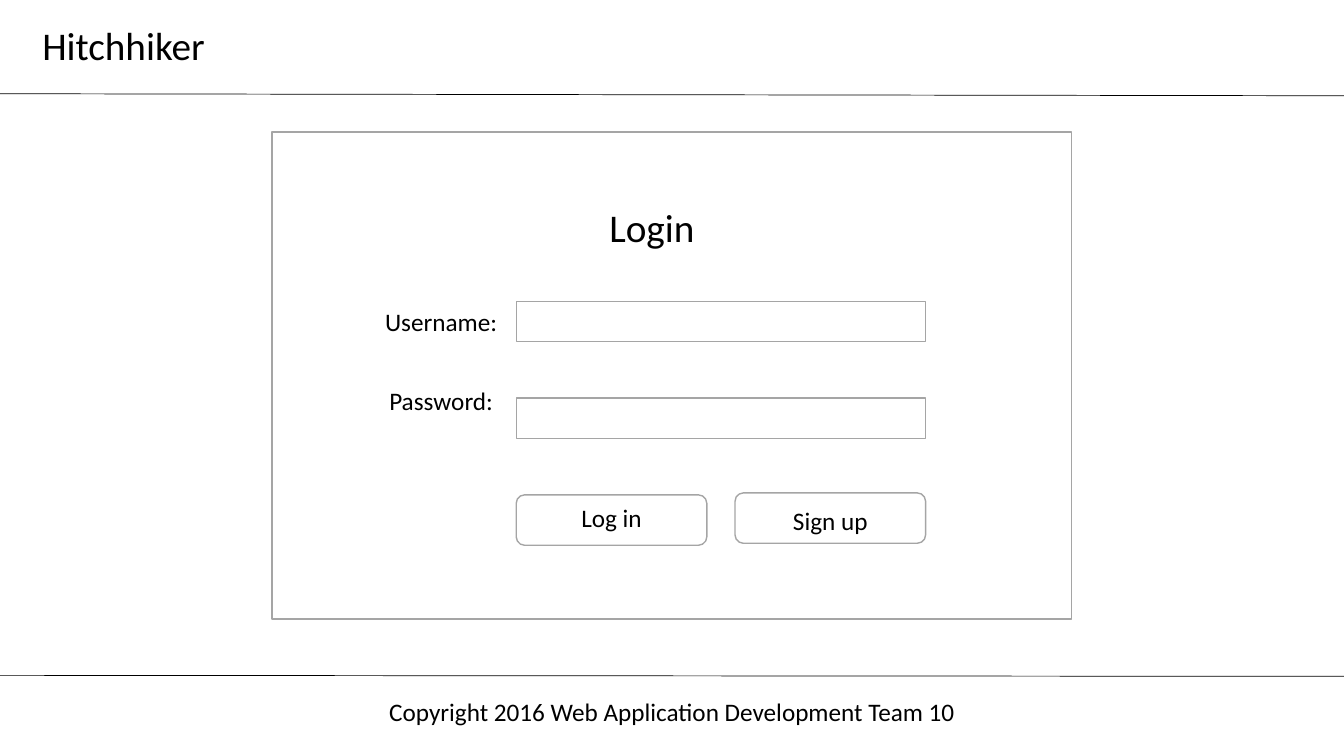
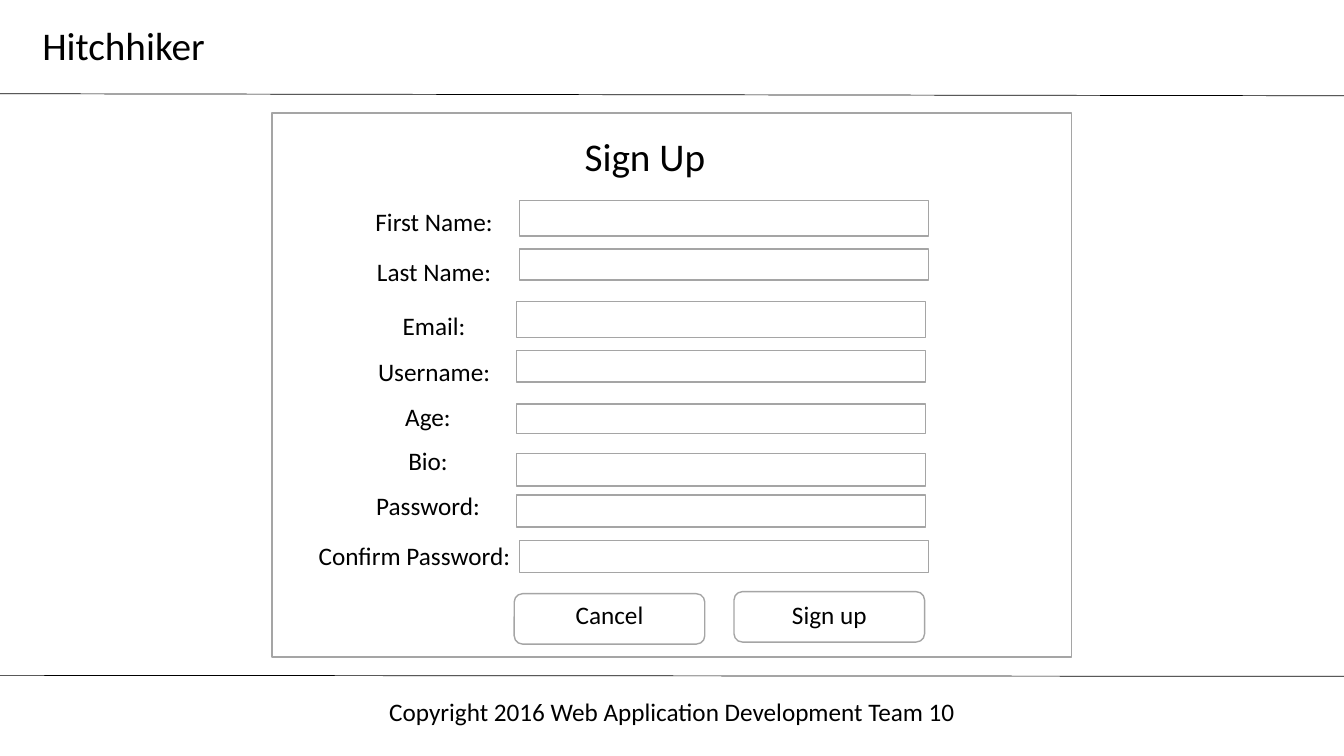
"""Build the login and sign-up wireframe slides."""
from dataclasses import dataclass

from lxml.etree import SubElement
from pptx import Presentation
from pptx.dml.color import RGBColor as Color
from pptx.enum.shapes import MSO_CONNECTOR as Connector, MSO_SHAPE as Preset
from pptx.enum.text import MSO_ANCHOR as Anchor, MSO_AUTO_SIZE as AutoSize, PP_ALIGN as Align
from pptx.oxml.ns import qn
from pptx.util import Inches, Pt


@dataclass(frozen=True)
class Theme:
    font: str = "Calibri"
    ink: Color = Color(0, 0, 0)
    paper: Color = Color(255, 255, 255)
    outline: Color = Color(0xA5, 0xA5, 0xA5)
    title_size: int = 28
    body_size: int = 18
    rule_width: float = 0.5
    outline_width: float = 1


@dataclass(frozen=True)
class Field:
    label: str
    label_left: float
    label_top: float
    box_left: float
    box_top: float
    box_height: float
    label_width: float = 2.09


@dataclass(frozen=True)
class Button:
    label: str
    left: float
    top: float
    text_top: float


THEME = Theme()
WIDTH, HEIGHT = 13.33, 7.5
TITLE_WIDTH, TITLE_HEIGHT, LABEL_HEIGHT = 2.09, 0.57, 0.4
PANEL_LEFT, PANEL_WIDTH = 2.7, 7.93
BOX_WIDTH = 4.06
BUTTON_WIDTH, BUTTON_HEIGHT = 1.89, 0.5
BRAND = "Hitchhiker"
COPYRIGHT = "Copyright 2016 Web Application Development Team 10"
RULES = [(0.93, 0.95), (6.7, 6.71)]

SCREENS = [
    {
        "title": ("Login", 5.42, 1.97),
        "panel": (1.31, 4.83),
        "fields": [
            Field("Username:", 3.33, 2.99, 5.12, 2.99, 0.4),
            Field("Password:", 3.33, 3.77, 5.12, 3.95, 0.4),
        ],
        "buttons": [
            Button("Log in", 5.12, 4.91, 4.96),
            Button("Sign up", 7.29, 4.89, 4.99),
        ],
    },
    {
        "title": ("Sign Up", 5.35, 1.26),
        "panel": (1.12, 5.4),
        "fields": [
            Field("First Name:", 3.26, 2.0, 5.15, 1.99, 0.35),
            Field("Last Name:", 3.26, 2.49, 5.15, 2.47, 0.31),
            Field("Email:", 3.26, 3.03, 5.12, 2.99, 0.36),
            Field("Username:", 3.26, 3.49, 5.12, 3.48, 0.31),
            Field("Age:", 3.2, 3.93, 5.12, 4.01, 0.29),
            Field("Bio:", 3.2, 4.37, 5.12, 4.5, 0.32),
            Field("Password:", 3.2, 4.82, 5.12, 4.91, 0.32),
            Field("Confirm Password:", 2.92, 5.31, 5.15, 5.36, 0.32, 2.38),
        ],
        "buttons": [
            Button("Cancel", 5.1, 5.89, 5.92),
            Button("Sign up", 7.28, 5.87, 5.92),
        ],
    },
]


def write(shape, text, size):
    paragraph = shape.text_frame.paragraphs[0]
    paragraph.text = text
    paragraph.alignment = Align.CENTER
    paragraph.font.name = THEME.font
    paragraph.font.size = Pt(size)
    paragraph.font.color.rgb = THEME.ink


def add_text(slide, text, left, top, width, height, size=THEME.body_size):
    box = slide.shapes.add_textbox(*map(Inches, (left, top, width, height)))
    box.text_frame.word_wrap = True
    box.text_frame.auto_size = AutoSize.SHAPE_TO_FIT_TEXT
    write(box, text, size)


def add_title(slide, text, left, top):
    add_text(slide, text, left, top, TITLE_WIDTH, TITLE_HEIGHT, THEME.title_size)


def add_box(slide, left, top, width, height, preset=Preset.RECTANGLE):
    box = slide.shapes.add_shape(preset, *map(Inches, (left, top, width, height)))
    box.shadow.inherit = False
    box.fill.solid()
    box.fill.fore_color.rgb = THEME.paper
    box.line.color.rgb = THEME.outline
    box.line.width = Pt(THEME.outline_width)
    return box


def add_rule(slide, start, end):
    points = map(Inches, (0, start, WIDTH, end))
    rule = slide.shapes.add_connector(Connector.STRAIGHT, *points)
    rule.line.color.rgb = THEME.ink
    rule.line.width = Pt(THEME.rule_width)
    SubElement(rule.element.spPr, qn("a:effectLst"))


def add_field(slide, field):
    add_text(slide, field.label, field.label_left, field.label_top,
             field.label_width, LABEL_HEIGHT)
    add_box(slide, field.box_left, field.box_top, BOX_WIDTH, field.box_height)


def add_button(slide, button):
    shape = add_box(slide, button.left, button.top, BUTTON_WIDTH, BUTTON_HEIGHT,
                    Preset.ROUNDED_RECTANGLE)
    shape.text_frame.vertical_anchor = Anchor.TOP
    shape.text_frame.margin_top = Inches(button.text_top - button.top)
    shape.text_frame.margin_bottom = 0
    write(shape, button.label, THEME.body_size)


def add_frame(slide):
    for start, end in RULES:
        add_rule(slide, start, end)
    add_title(slide, BRAND, 0.18, 0.16)
    add_text(slide, COPYRIGHT, 3.49, 6.86, 6.35, LABEL_HEIGHT)


def add_screen(presentation, screen):
    slide = presentation.slides.add_slide(presentation.slide_layouts[6])
    add_frame(slide)
    panel_top, panel_height = screen["panel"]
    add_box(slide, PANEL_LEFT, panel_top, PANEL_WIDTH, panel_height)
    add_title(slide, *screen["title"])
    for field in screen["fields"]:
        add_field(slide, field)
    for button in screen["buttons"]:
        add_button(slide, button)


def main():
    presentation = Presentation()
    presentation.slide_width = Inches(WIDTH)
    presentation.slide_height = Inches(HEIGHT)
    for screen in SCREENS:
        add_screen(presentation, screen)
    presentation.save("out.pptx")


if __name__ == "__main__":
    main()
